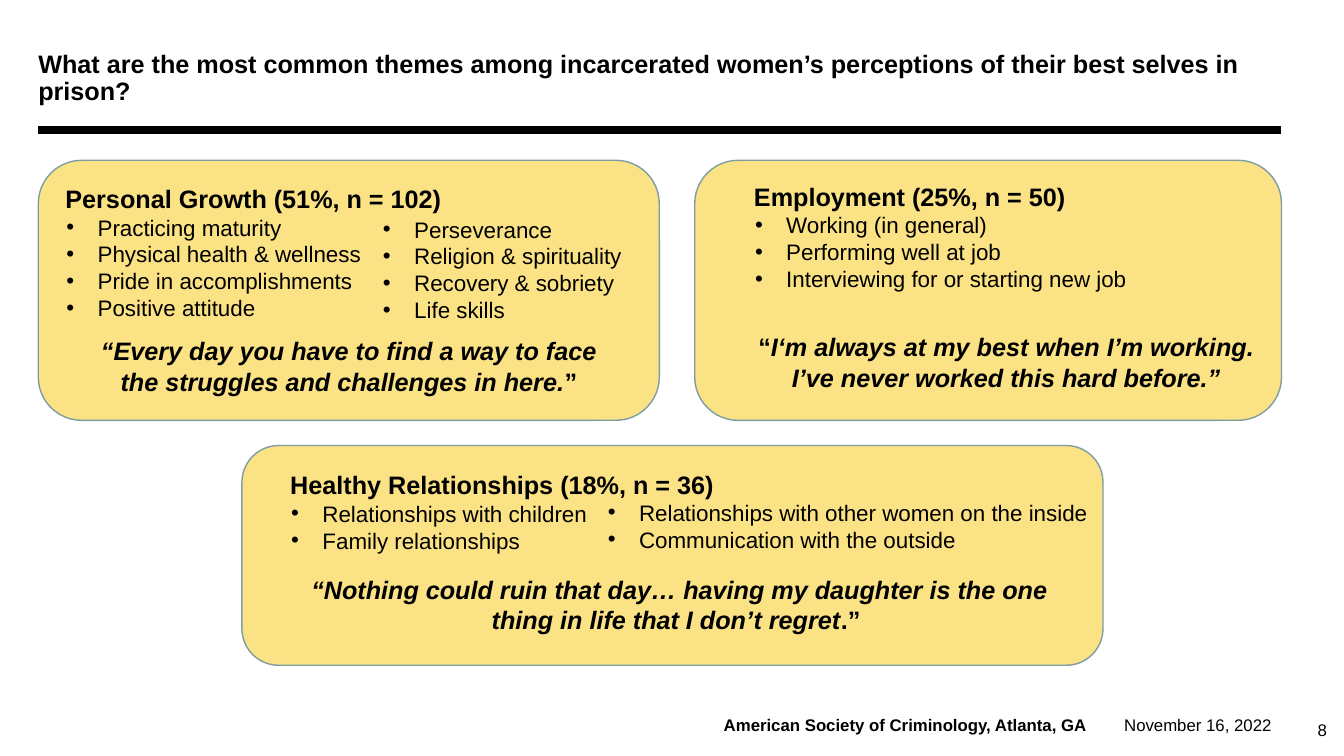
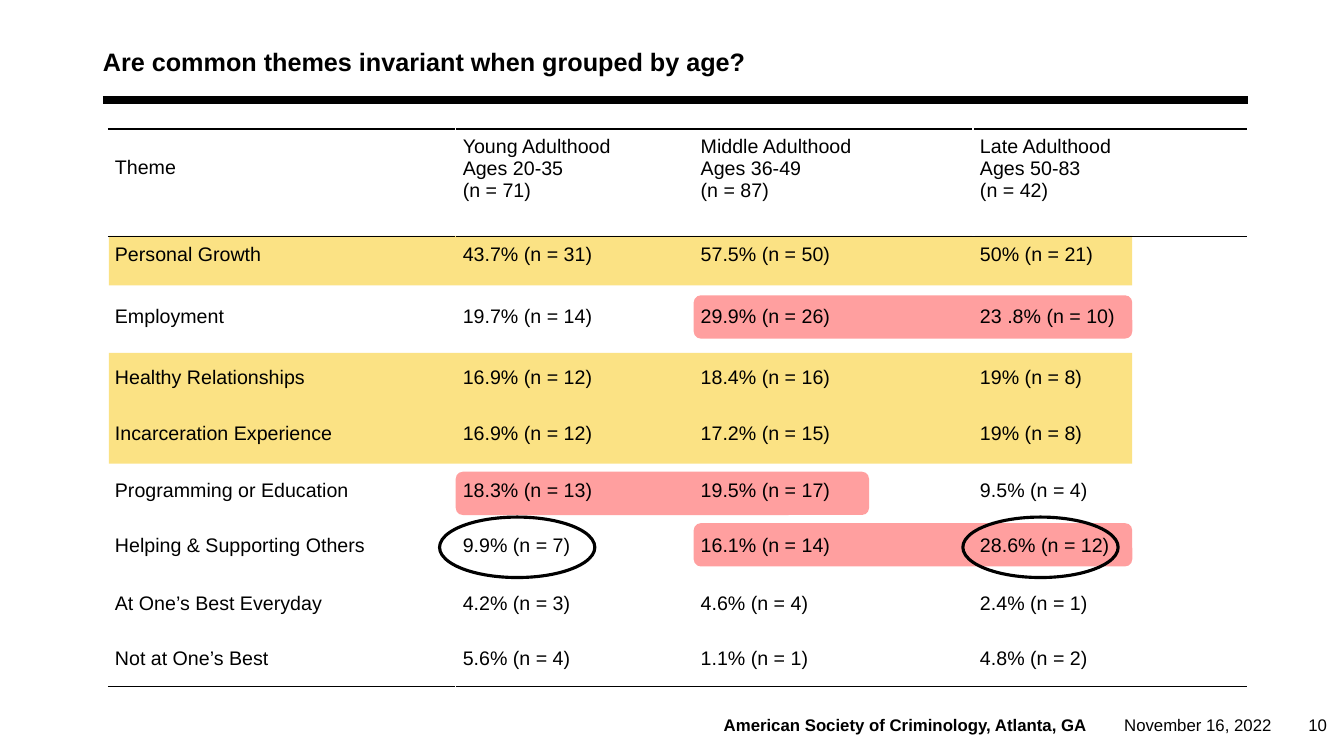
"""Build two slides on incarcerated women's perceptions of their best selves."""
from lxml.etree import SubElement
from pptx import Presentation
from pptx.dml.color import RGBColor
from pptx.enum.shapes import MSO_CONNECTOR, MSO_SHAPE
from pptx.enum.text import MSO_ANCHOR, MSO_AUTO_SIZE, PP_ALIGN
from pptx.oxml import parse_xml
from pptx.oxml.ns import nsdecls, qn
from pptx.util import Pt

PX = 9144
FONT = "Arial"
COLORS = {"text": "000000", "card": "FBE284", "card_line": "7D9DA2",
          "highlight": "FF9F9F", "seam": "FFFFFF"}
NO_GRID_STYLE = "{2D5ABB26-0587-4C30-8999-92F81FD0307C}"

THEMES_SLIDE = {
    "title": "What are the most common themes among incarcerated women’s perceptions "
             "of their best selves in prison?",
    "title_box": (38, 58, 1279, 47),
    "rule": (38, 1271, 129),
    "number": "8",
    "number_top": 714,
}
AGES_SLIDE = {
    "title": "Are common themes invariant when grouped by age?",
    "title_box": (102, 29, 1257, 47),
    "rule": (102, 1238, 99),
    "number": "10",
    "number_top": 709,
}
FOOTER = [
    ("November 16, 2022", (1115, 709, 166, 20), False, 0),
    ("American Society of Criminology, Atlanta, GA", (708, 709, 407, 20), True, 10),
]

CARDS = [
    {
        "box": (689, 159, 582, 258),
        "heading": "Employment (25%, n = 50)",
        "lists": [((732, 178, 487, 128),
                   ["Working (in general)", "Performing well at job",
                    "Interviewing for or starting new job"])],
        "quote_box": (739, 324, 518, 71),
        "quote": [("“", False),
                  ("I‘m always at my best when I’m working. "
                   "I’ve never worked this hard before.”", True)],
    },
    {
        "box": (38, 159, 616, 258),
        "heading": "Personal Growth (51%, n = 102)",
        "lists": [((49, 180, 429, 149),
                   ["Practicing maturity", "Physical health & wellness",
                    "Pride in accomplishments", "Positive attitude"]),
                  ((363, 209, 275, 118),
                   ["Perseverance", "Religion & spirituality",
                    "Recovery & sobriety", "Life skills"])],
        "quote_box": (85, 328, 522, 71),
        "quote": [("“Every day you have to find a way to face the struggles "
                   "and challenges in here.", True), ("”", False)],
    },
    {
        "box": (240, 442, 854, 218),
        "heading": "Healthy Relationships (18%, n = 36)",
        "lists": [((272, 464, 453, 110),
                   ["Relationships with children", "Family relationships"]),
                  ((586, 490, 508, 65),
                   ["Relationships with other women on the inside",
                    "Communication with the outside"])],
        "quote_box": (298, 565, 752, 71),
        "quote": [("“Nothing could ruin that day… having my daughter is the one "
                   "thing in life that I don’t regret", True), (".” ", False)],
    },
]

TABLE_TOP = 128
ROW_HEIGHTS = [107, 61, 61, 55, 57, 55, 57, 55, 45]
TABLES = [
    {"left": 107, "width": 344, "header_margin": 27, "seam": "",
     "cells": ["Theme", "Personal Growth", "Employment", "Healthy Relationships",
               "Incarceration Experience", "Programming or Education",
               "Helping & Supporting Others", "At One’s Best Everyday", "Not at One’s Best"]},
    {"left": 452, "width": 236, "header_margin": 7, "seam": "",
     "cells": ["Young Adulthood\nAges 20-35\n(n = 71)", "43.7% (n = 31)", "19.7% (n = 14)",
               "16.9% (n = 12)", "16.9% (n = 12)", "18.3% (n = 13)", "9.9% (n = 7)",
               "4.2% (n = 3)", "5.6% (n = 4)"]},
    {"left": 688, "width": 278, "header_margin": 7, "seam": "R",
     "cells": ["Middle Adulthood\nAges 36-49\n(n = 87)", "57.5% (n = 50)", "29.9% (n = 26)",
               "18.4% (n = 16)", "17.2% (n = 15)", "19.5% (n = 17)", "16.1% (n = 14)",
               "4.6% (n = 4)", "1.1% (n = 1)"]},
    {"left": 965, "width": 272, "header_margin": 7, "seam": "L",
     "cells": ["Late Adulthood\nAges 50-83\n(n = 42)", "50% (n = 21)", "23 .8% (n = 10)",
               "19% (n = 8)", "19% (n = 8)", "9.5% (n = 4)", "28.6% (n = 12)",
               "2.4% (n = 1)", "4.8% (n = 2)"]},
]
BANDS = [(108, 234, 1015, 49), (108, 350, 1015, 110)]
HIGHLIGHTS = [(688, 293, 435, 43), (688, 519, 435, 43), (452, 468, 410, 43)]
CIRCLES = [(436, 513, 154, 60), (955, 513, 154, 60)]


def emu(lengths):
    return [length * PX for length in lengths]


def rgb(name):
    return RGBColor.from_string(COLORS[name])


def write(frame, text, size=18, bold=False, align=PP_ALIGN.LEFT, spacing=None,
          indent=0, hanging=0):
    paragraph = frame.paragraphs[0]
    if paragraph.runs:
        paragraph = frame.add_paragraph()
    paragraph.alignment = align
    if spacing:
        paragraph.line_spacing = spacing
    properties = paragraph._p.get_or_add_pPr()
    properties.set("marL", str(indent * PX))
    properties.set("indent", str(-hanging * PX))
    if hanging:
        SubElement(properties, qn("a:buFont")).set("typeface", FONT)
        SubElement(properties, qn("a:buChar")).set("char", "•")
    for words, italic in [(text, False)] if isinstance(text, str) else text:
        run = paragraph.add_run()
        run.text = words
        run.font.name = FONT
        run.font.size = Pt(size)
        run.font.bold = bold
        run.font.italic = italic
        run.font.color.rgb = rgb("text")


def add_frame(container, box, anchor=MSO_ANCHOR.TOP, side_margin=10):
    frame = container.shapes.add_textbox(*emu(box)).text_frame
    frame.word_wrap = True
    frame.vertical_anchor = anchor
    frame.margin_left = frame.margin_right = side_margin * PX
    return frame


def add_shape(container, kind, box, fill=None, line=None, width=1):
    shape = container.shapes.add_shape(kind, *emu(box))
    shape.shadow.inherit = False
    if fill:
        shape.fill.solid()
        shape.fill.fore_color.rgb = rgb(fill)
    else:
        shape.fill.background()
    if line:
        shape.line.color.rgb = rgb(line)
        shape.line.width = Pt(width)
    else:
        shape.line.fill.background()


def add_base(presentation, content):
    slide = presentation.slides.add_slide(presentation.slide_layouts[5])
    title = slide.shapes.title
    title.left, title.top, title.width, title.height = emu(content["title_box"])
    frame = title.text_frame
    frame.auto_size = MSO_AUTO_SIZE.NONE
    frame.word_wrap = True
    frame.vertical_anchor = MSO_ANCHOR.BOTTOM
    frame.margin_left = frame.margin_right = frame.margin_top = frame.margin_bottom = 0
    write(frame, content["title"], bold=True, spacing=0.9)

    left, right, top = content["rule"]
    rule = slide.shapes.add_connector(MSO_CONNECTOR.STRAIGHT, *emu((left, top, right, top)))
    rule.line.color.rgb = rgb("text")
    rule.line.width = Pt(6)
    SubElement(rule._element.spPr, qn("a:effectLst"))

    for text, box, bold, margin in FOOTER:
        write(add_frame(slide, box, MSO_ANCHOR.MIDDLE, margin), text, size=12, bold=bold)
    number = add_frame(slide, (1281, content["number_top"], 45, 20), MSO_ANCHOR.MIDDLE)
    write(number, content["number"], size=12, align=PP_ALIGN.RIGHT)
    return slide


def add_card(slide, card):
    group = slide.shapes.add_group_shape()
    add_shape(group, MSO_SHAPE.ROUNDED_RECTANGLE, card["box"], "card", "card_line")
    for position, (box, items) in enumerate(card["lists"]):
        frame = add_frame(group, box)
        if position == 0:
            write(frame, card["heading"], bold=True, spacing=0.9, indent=6)
        for item in items:
            write(frame, item, size=16, indent=38, hanging=31)
    write(add_frame(group, card["quote_box"]), card["quote"], bold=True, align=PP_ALIGN.CENTER)


def set_borders(cell, colors):
    properties = cell._tc.get_or_add_tcPr()
    for position, side in enumerate("LRTB"):
        paint = "<a:noFill/>"
        if side in colors:
            paint = f'<a:solidFill><a:srgbClr val="{COLORS[colors[side]]}"/></a:solidFill>'
        properties.insert(position, parse_xml(
            f'<a:ln{side} {nsdecls("a")} w="12700">{paint}</a:ln{side}>'))


def add_column_table(slide, content):
    box = (content["left"], TABLE_TOP, content["width"], sum(ROW_HEIGHTS))
    table = slide.shapes.add_table(len(ROW_HEIGHTS), 1, *emu(box)).table
    table.first_row = table.horz_banding = False
    table._tbl.tblPr.find(qn("a:tableStyleId")).text = NO_GRID_STYLE
    borders = {0: {"T": "text", "B": "text"}, 1: {"T": "text"},
               len(ROW_HEIGHTS) - 1: {"B": "text"}}
    if content["seam"]:
        borders[0][content["seam"]] = "seam"
    for index, (height, text) in enumerate(zip(ROW_HEIGHTS, content["cells"])):
        table.rows[index].height = height * PX
        cell = table.cell(index, 0)
        cell.fill.background()
        cell.margin_left = cell.margin_right = cell.margin_bottom = 7 * PX
        cell.margin_top = (7 if index else content["header_margin"]) * PX
        for line in text.split("\n"):
            write(cell.text_frame, line, size=14)
        set_borders(cell, borders.get(index, {}))


def main():
    presentation = Presentation()
    presentation.slide_width, presentation.slide_height = emu((1333, 750))

    themes = add_base(presentation, THEMES_SLIDE)
    for card in CARDS:
        add_card(themes, card)

    ages = add_base(presentation, AGES_SLIDE)
    for box in BANDS:
        add_shape(ages, MSO_SHAPE.RECTANGLE, box, "card")
    for box in HIGHLIGHTS:
        add_shape(ages, MSO_SHAPE.ROUNDED_RECTANGLE, box, "highlight")
    for content in TABLES:
        add_column_table(ages, content)
    for box in CIRCLES:
        add_shape(ages, MSO_SHAPE.OVAL, box, line="text", width=2.25)

    presentation.save("out.pptx")


if __name__ == "__main__":
    main()
